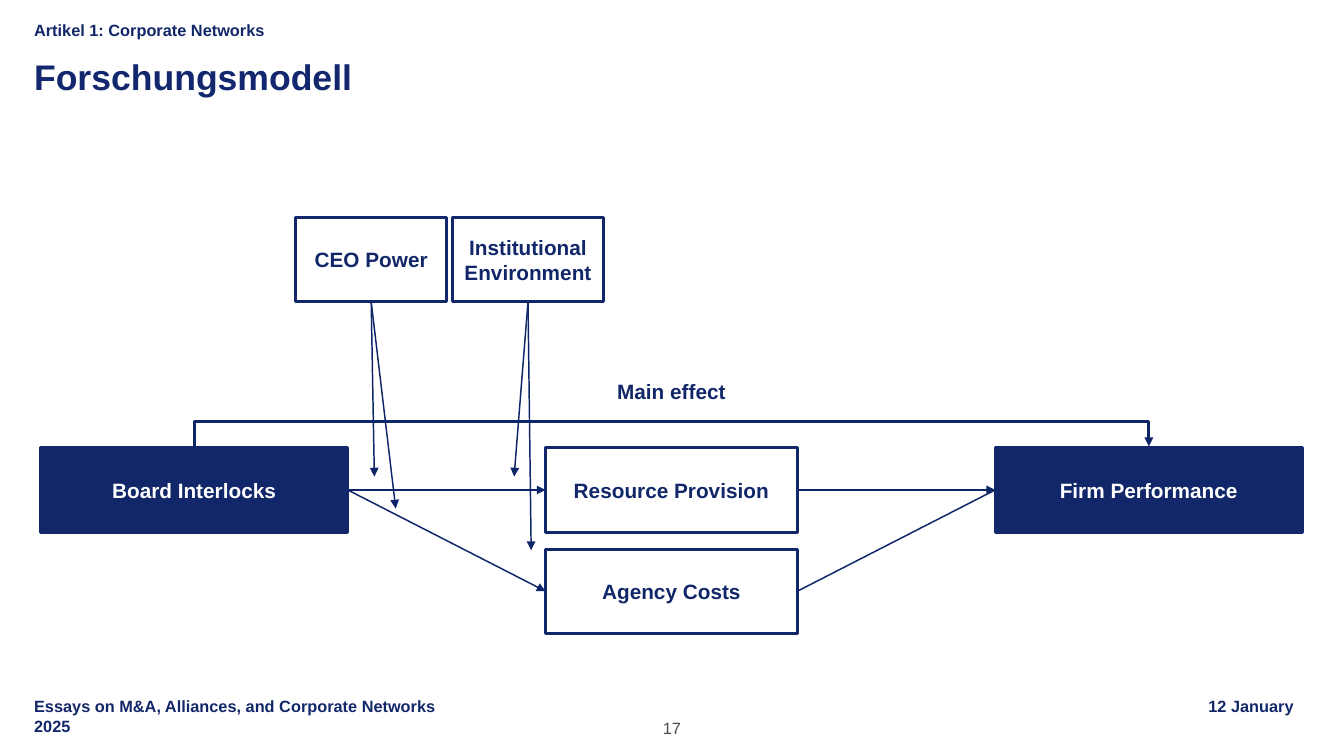
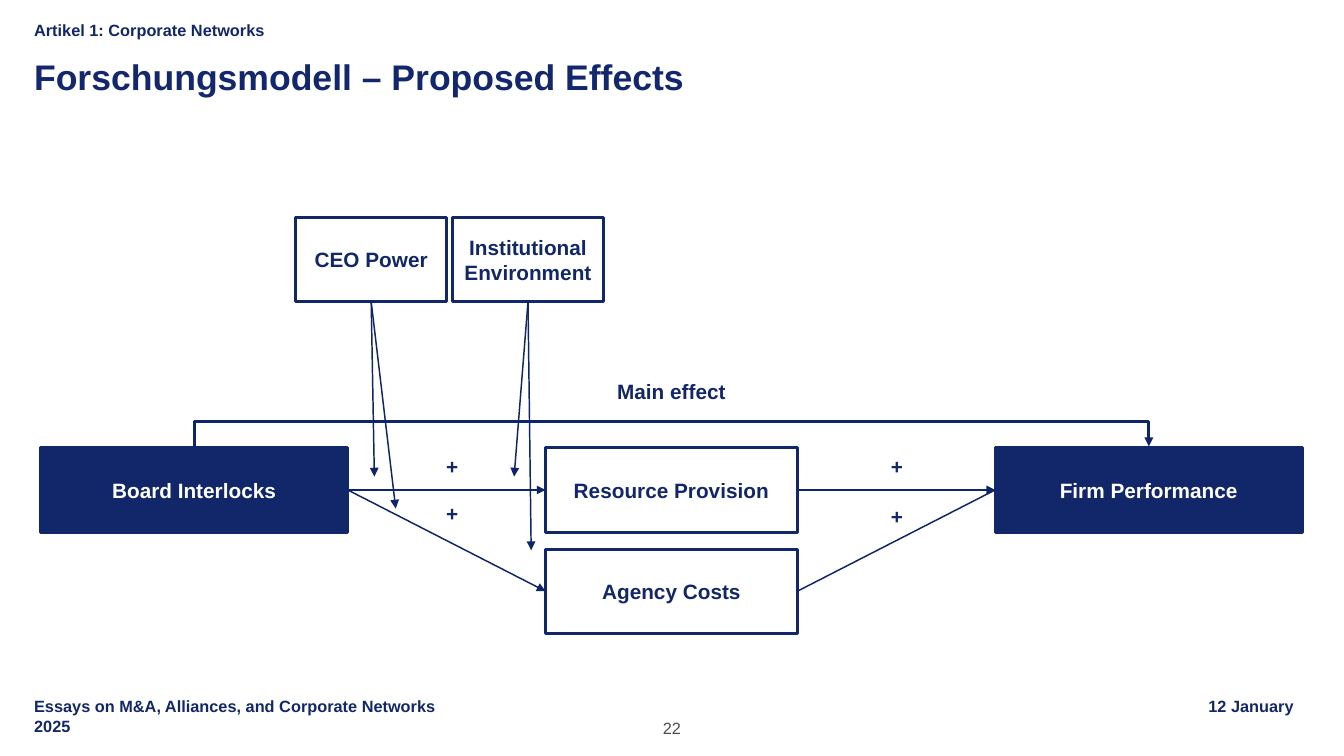
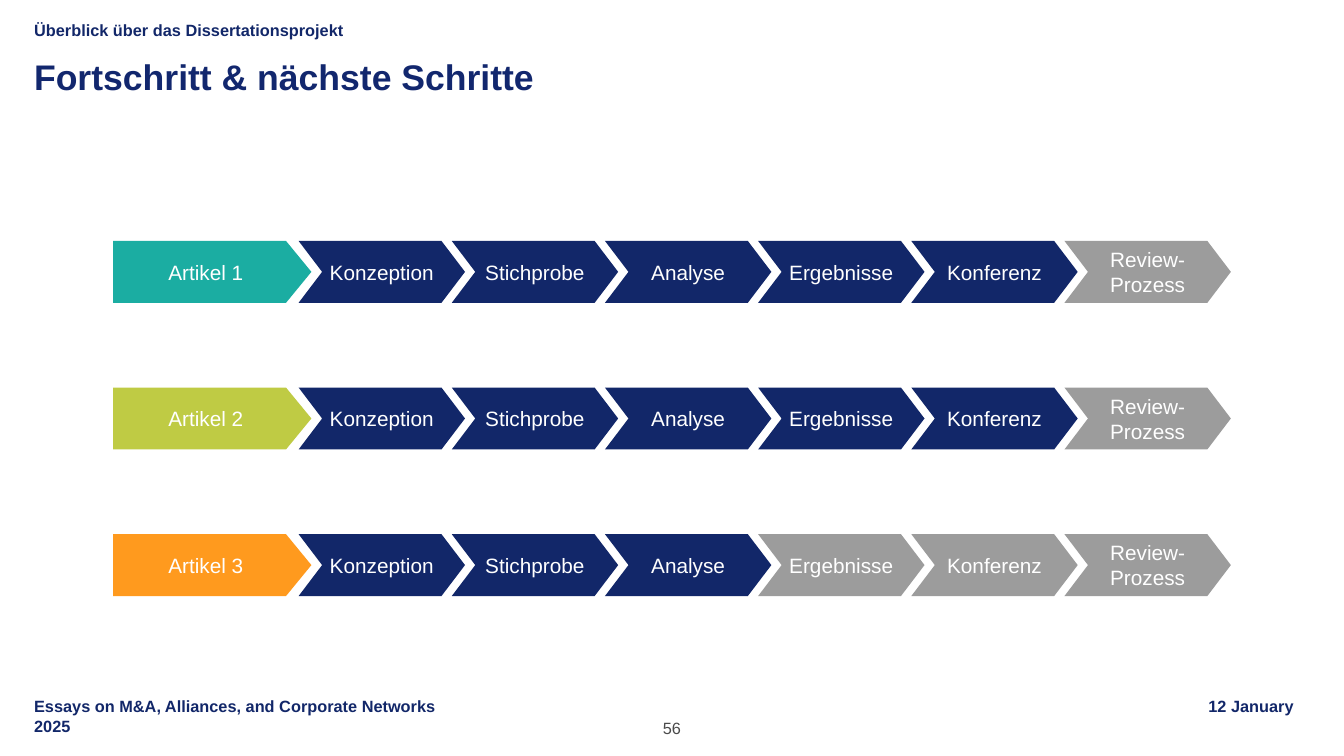
from collections import namedtuple

from lxml.etree import SubElement
from pptx import Presentation
from pptx.dml.color import RGBColor
from pptx.enum.shapes import MSO_CONNECTOR as LINK, MSO_SHAPE as SHAPE
from pptx.enum.text import MSO_ANCHOR as ANCHOR, PP_ALIGN as ALIGN
from pptx.oxml.ns import qn
from pptx.util import Inches, Pt

Box = namedtuple("Box", "left top width height")

COLOURS = {
    "navy": "122769", "title": "12276E", "line": "0F2569", "white": "FFFFFF",
    "page": "4B4B4B", "grey": "9C9C9C",
    "teal": "1BADA2", "lime": "BFCB44", "orange": "FF9A1E",
}
STYLES = {
    "title": {"size": Pt(24), "bold": True},
    "small": {"size": Pt(11), "bold": True},
    "page": {"size": Pt(11), "bold": False},
    "label": {"size": Pt(14), "bold": True},
    "step": {"size": Pt(14), "bold": False},
}
SLIDE_WIDTH, SLIDE_HEIGHT = 12.6, 7.09
MODEL_AREA = Box(0.38, 2.04, 11.83, 3.9)
PROGRESS_AREA = Box(1.06, 2.26, 10.48, 3.33)
TOP, LEFT, BOTTOM, RIGHT = range(4)


def colour(name):
    return RGBColor.from_string(COLOURS[name])


def write(shape, text, style, ink, align=ALIGN.CENTER, anchor=ANCHOR.MIDDLE,
          wrap=True, spacing=None, margin=None, tab=None):
    frame = shape.text_frame
    frame.text = text
    frame.word_wrap = wrap
    frame.vertical_anchor = anchor
    if margin is not None:
        for side in ("left", "top", "right", "bottom"):
            setattr(frame, f"margin_{side}", Inches(margin))
    for paragraph in frame.paragraphs:
        paragraph.alignment = align
        if spacing:
            paragraph.line_spacing = spacing
        if tab:
            stops = SubElement(paragraph._p.get_or_add_pPr(), qn("a:tabLst"))
            SubElement(stops, qn("a:tab"), pos=str(Inches(tab)), algn="r")
        for run in paragraph.runs:
            run.font.name = "Arial"
            run.font.color.rgb = colour(ink)
            for key, value in STYLES[style].items():
                setattr(run.font, key, value)


def add_text(slide, box, text, style, ink="navy", **layout):
    shape = slide.shapes.add_textbox(*map(Inches, box))
    write(shape, text, style, ink, **layout)


def add_block(slide, kind, box, text, style, fill, ink, outline=None, wrap=True):
    shape = slide.shapes.add_shape(kind, *map(Inches, box))
    shape.shadow.inherit = False
    shape.fill.solid()
    shape.fill.fore_color.rgb = colour(fill)
    if outline:
        shape.line.color.rgb = colour(outline)
        shape.line.width = Pt(2)
    else:
        shape.line.fill.background()
    write(shape, text, style, ink, wrap=wrap)
    return shape


def add_link(slide, start, end, kind=LINK.STRAIGHT, width=1, arrow=True):
    """Link (shape, side) to another (shape, side) or to an (x, y) point in EMU."""
    free = end if isinstance(end[0], int) else (0, 0)
    link = slide.shapes.add_connector(kind, 0, 0, *free)
    link.begin_connect(*start)
    if free is not end:
        link.end_connect(*end)
    link.line.color.rgb = colour("line")
    link.line.width = Pt(width)
    if arrow:
        SubElement(link.line._get_or_add_ln(), qn("a:tailEnd"), type="triangle")
    SubElement(link._element.spPr, qn("a:effectLst"))
    return link


def add_bridge(slide, source, target, rise):
    """Elbow arrow that leaves one top side, runs above and enters another."""
    link = add_link(slide, (source, TOP), (target, TOP), LINK.ELBOW, width=2)
    start = source.left + source.width // 2
    span = target.left + target.width // 2 - start
    depth = Pt(1)
    link.left = start + (span - depth) // 2
    link.top = source.top - (depth + span) // 2
    link.width, link.height = depth, span
    frame = link._element.spPr.find(qn("a:xfrm"))
    for key, value in {"rot": "5400000", "flipH": "1", "flipV": "1"}.items():
        frame.set(key, value)
    geometry = link._element.spPr.find(qn("a:prstGeom"))
    guides = geometry.find(qn("a:avLst"))
    if guides is None:
        guides = SubElement(geometry, qn("a:avLst"))
    ratio = round(Inches(rise) / depth * 100000)
    SubElement(guides, qn("a:gd"), name="adj1", fmla=f"val {ratio}")


def add_frame(presentation, section, title, page):
    """New blank slide with section line, title, footer and page number."""
    slide = presentation.slides.add_slide(presentation.slide_layouts[6])
    left, width, height = 0.32, 0.95 * SLIDE_WIDTH, 0.37
    small = {"align": ALIGN.LEFT, "anchor": ANCHOR.BOTTOM, "spacing": 1.04, "margin": 0}
    add_text(slide, Box((SLIDE_WIDTH - 0.9) / 2, 6.73, 0.9, 0.19), str(page), "page",
             "page", anchor=ANCHOR.BOTTOM, margin=0)
    add_text(slide, Box(left, 6.53, width, height),
             "Essays on M&A, Alliances, and Corporate Networks\t12 January\v2025",
             "small", tab=11.81, **small)
    add_text(slide, Box(left, 0.56, width, 0.73), title, "title", "title",
             align=ALIGN.LEFT, anchor=ANCHOR.TOP, spacing=0.9, margin=0)
    add_text(slide, Box(left, 0, width, height), section, "small", **small)
    return slide


def add_model(slide, area, signs=False):
    row_height, end_width, middle_width, moderator_width = 0.79, 2.88, 2.36, 1.42
    main_row, lower_row = 2.16, area.height - row_height
    middle = (area.width - middle_width) / 2
    right = area.width - end_width

    def inside(x, y, width, height=row_height):
        return Box(area.left + x, area.top + y, width, height)

    def block(text, x, y, width, fill="white", ink="navy"):
        return add_block(slide, SHAPE.RECTANGLE, inside(x, y, width), text,
                         "label", fill, ink, outline="navy")

    board = block("Board Interlocks", 0, main_row, end_width, "navy", "white")
    firm = block("Firm Performance", right, main_row, end_width, "navy", "white")
    add_bridge(slide, board, firm, rise=0.25)
    add_block(slide, SHAPE.RECTANGLE, inside(middle, 1.46, middle_width, 0.34),
              "Main effect", "label", "white", "navy")

    moderators = [
        ("CEO Power", [(0.23, 1.94), (0.03, 1.64)]),
        ("Institutional Environment", [(0.03, 2.33), (-0.13, 1.64)]),
    ]
    for column, (name, reaches) in enumerate(moderators):
        moderator = block(name, 2.39 + column * (moderator_width + 0.05), 0,
                          moderator_width)
        for across, down in reaches:
            tip = (moderator.left + moderator.width // 2 + Inches(across),
                   moderator.top + moderator.height + Inches(down))
            add_link(slide, (moderator, BOTTOM), tip)

    add_link(slide, (board, RIGHT), (firm, LEFT))
    agency = block("Agency Costs", middle, lower_row, middle_width)
    resource = block("Resource Provision", middle, main_row, middle_width)
    add_link(slide, (board, RIGHT), (agency, LEFT))
    add_link(slide, (agency, RIGHT), (firm, LEFT), arrow=False)
    add_link(slide, (board, RIGHT), (resource, LEFT))

    if signs:
        for x, y in [(3.63, 2.2), (3.63, 2.64), (7.8, 2.67), (7.8, 2.2)]:
            add_text(slide, inside(x, y, 0.46, 0.26), "+", "label")


def add_progress(slide, area, articles):
    """One arrow row per article; steps not yet done are grey."""
    steps = ["Konzeption", "Stichprobe", "Analyse", "Ergebnisse", "Konferenz",
             "Review-\nProzess"]
    height, name_width, step_width, first = 0.58, 1.86, 1.56, 1.74
    row_pitch = (area.height - height) / (len(articles) - 1)
    step_pitch = (area.width - first - step_width) / (len(steps) - 1)

    def arrow(kind, point, x, y, width, text, fill):
        box = Box(area.left + x, y, width, height)
        shape = add_block(slide, kind, box, text, "step", fill, "white", wrap=False)
        shape.adjustments[0] = point

    for row, (name, fill, done) in enumerate(articles):
        y = area.top + row * row_pitch
        arrow(SHAPE.PENTAGON, 0.41, 0, y, name_width, name, fill)
        for column, step in enumerate(steps):
            arrow(SHAPE.CHEVRON, 0.38, first + column * step_pitch, y, step_width,
                  step, "navy" if column < done else "grey")


def main():
    presentation = Presentation()
    presentation.slide_width = Inches(SLIDE_WIDTH)
    presentation.slide_height = Inches(SLIDE_HEIGHT)

    networks = "Artikel 1: Corporate Networks"
    slide = add_frame(presentation, networks, "Forschungsmodell", 17)
    add_model(slide, MODEL_AREA)
    slide = add_frame(presentation, networks, "Forschungsmodell – Proposed Effects", 22)
    add_model(slide, MODEL_AREA, signs=True)
    slide = add_frame(presentation, "Überblick über das Dissertationsprojekt",
                      "Fortschritt & nächste Schritte", 56)
    add_progress(slide, PROGRESS_AREA, [
        ("Artikel 1", "teal", 5), ("Artikel 2", "lime", 5), ("Artikel 3", "orange", 3)])

    presentation.save("out.pptx")


if __name__ == "__main__":
    main()
